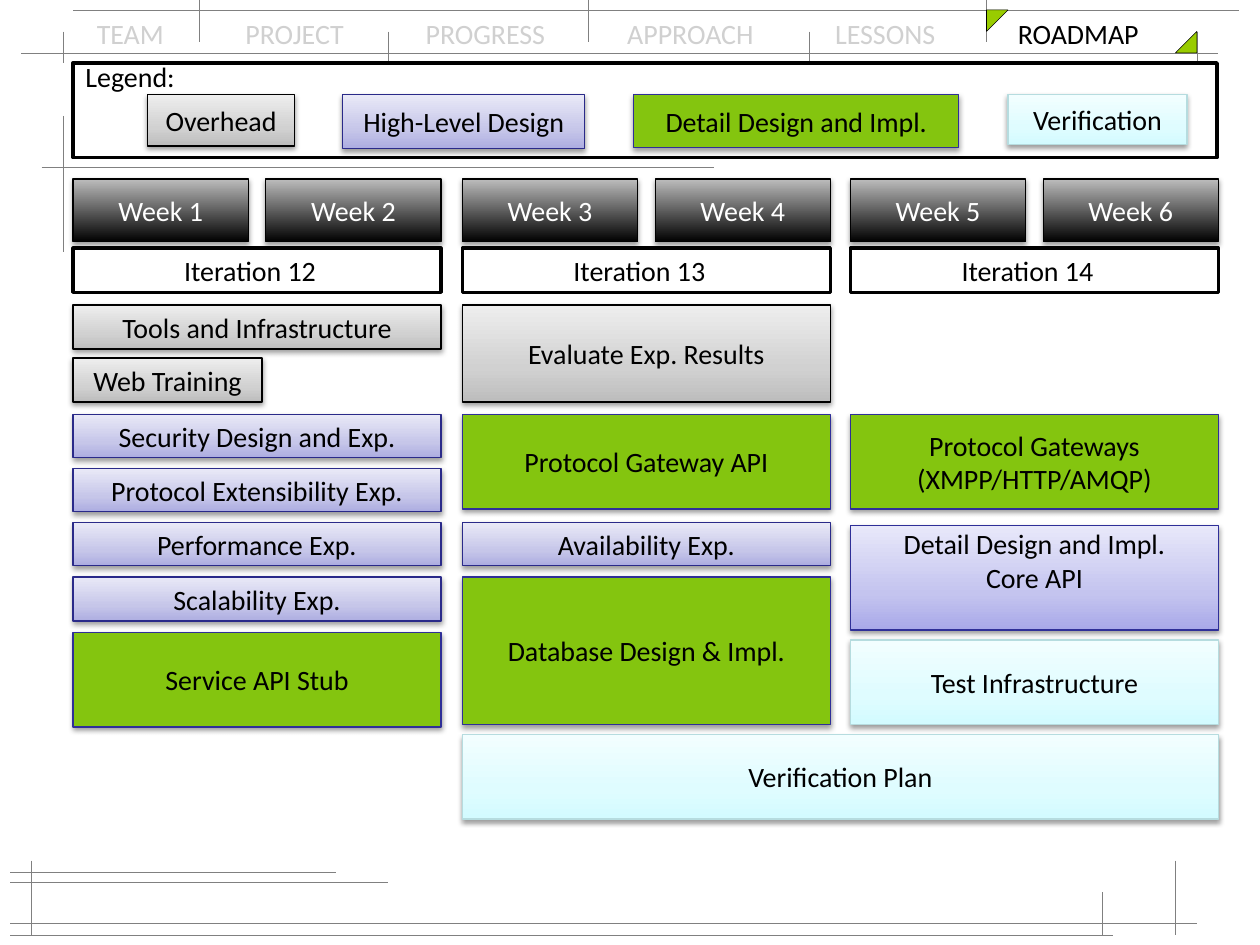
from lxml.etree import SubElement
from pptx import Presentation
from pptx.dml.color import RGBColor
from pptx.enum.shapes import MSO_CONNECTOR, MSO_SHAPE
from pptx.enum.text import MSO_ANCHOR, PP_ALIGN
from pptx.oxml.ns import qn
from pptx.util import Inches, Pt

STYLES = {
    "overhead": ([(0, "BDBDBD"), (35, "D1D1D1"), (100, "EEEEEE")], "000000"),
    "high": ([(0, "ADADE1"), (35, "C6C6E9"), (100, "E9E9F7")], "2A2A89"),
    "core": ([(0, "A9A9E9"), (35, "C4C4EF"), (100, "E8E8FA")], "2F2F98"),
    "detail": ("84C50F", "2F2F98"),
    "verify": ([(0, "D3FBFF"), (35, "DFFCFF"), (100, "F2FEFF")], "B6DCDF"),
    "week": ([(0, "000000"), (100, "BDBDBD")], "000000"),
}
COLUMNS = [0.58, 3.67, 6.75]
COL_W = 2.92
RULES = [
    (0.17, 0.42, 9.67, 0.42), (0.58, 0.08, 9.83, 0.08), (0.5, 0.92, 0.5, 2),
    (0.33, 1.33, 5.67, 1.33), (0.08, 7, 3.08, 7), (0.08, 7.33, 9.5, 7.33),
    (0.25, 6.83, 0.25, 7.42), (0.08, 6.92, 2.67, 6.92), (0.08, 7.42, 8.83, 7.42),
    (9.33, 6.83, 9.33, 7.42), (8.75, 7.08, 8.75, 7.42),
]
LEGEND = [
    (1.17, 1.17, 0.41, "overhead", "Overhead"),
    (2.72, 1.92, 0.43, "high", "High-Level Design"),
    (5.03, 2.58, 0.42, "detail", "Detail Design and Impl."),
    (8, 1.42, 0.4, "verify", "Verification"),
]
TASKS = [
    (0, 2.42, COL_W, 0.35, "overhead", "Tools and Infrastructure"),
    (0, 2.84, 1.5, 0.35, "overhead", "Web Training"),
    (0, 3.29, COL_W, 0.34, "high", "Security Design and Exp."),
    (0, 3.72, COL_W, 0.34, "high", "Protocol Extensibility Exp."),
    (0, 4.15, COL_W, 0.34, "high", "Performance Exp."),
    (0, 4.58, COL_W, 0.35, "high", "Scalability Exp."),
    (0, 5.02, COL_W, 0.75, "detail", "Service API Stub"),
    (1, 2.42, COL_W, 0.77, "overhead", "Evaluate Exp. Results"),
    (1, 3.29, COL_W, 0.75, "detail", "Protocol Gateway API"),
    (1, 4.15, COL_W, 0.34, "high", "Availability Exp."),
    (1, 4.58, COL_W, 1.17, "detail", "Database Design & Impl."),
    (2, 3.29, COL_W, 0.75, "detail", "Protocol Gateways\n(XMPP/HTTP/AMQP)"),
    (2, 5.08, COL_W, 0.67, "verify", "Test Infrastructure"),
    (1, 5.83, 6, 0.67, "verify", "Verification Plan"),
]


def rgb(value):
    """Return the colour for a hex string."""
    return RGBColor.from_string(value)


def add_run(p, text, size=16, color="000000", font="Calibri"):
    """Add a formatted run to a paragraph."""
    r = p.add_run()
    r.text = text
    r.font.size = Pt(size)
    r.font.name = font
    r.font.color.rgb = rgb(color)


class Roadmap:
    """Hold the slide and draw its elements in one style."""

    def __init__(self, prs):
        """Start a blank slide."""
        self.s = prs.slides.add_slide(prs.slide_layouts[6])

    def rule(self, x1, y1, x2, y2):
        """Draw a hairline."""
        c = self.s.shapes.add_connector(
            MSO_CONNECTOR.STRAIGHT, Inches(x1), Inches(y1), Inches(x2), Inches(y2))
        c.line.color.rgb = rgb("808080")
        c.line.width = Pt(0.3)
        SubElement(c._element.spPr, qn("a:effectLst"))

    def shape(self, kind, x, y, w, h, fill, line, width, parent=None):
        """Draw a preset shape with a plain or gradient fill."""
        sp = (parent or self.s).shapes.add_shape(
            kind, Inches(x), Inches(y), Inches(w), Inches(h))
        sp.shadow.inherit = False
        if isinstance(fill, str):
            sp.fill.solid()
            sp.fill.fore_color.rgb = rgb(fill)
        else:
            sp.fill.gradient()
            sp.fill.gradient_angle = 90
            stops = sp._element.spPr.find(".//" + qn("a:gsLst"))
            stops.clear()
            for pos, color in fill:
                gs = SubElement(stops, qn("a:gs"), pos=str(pos * 1000))
                SubElement(gs, qn("a:srgbClr"), val=color)
        sp.line.color.rgb = rgb(line)
        sp.line.width = Pt(width)
        return sp

    def corner(self, x, y, flip):
        """Draw a flipped corner triangle beside the current section."""
        sp = self.shape(MSO_SHAPE.RIGHT_TRIANGLE, x, y, 0.17, 0.17, "99CC00", "000000", 0.3)
        sp._element.spPr.find(qn("a:xfrm")).set(flip, "1")

    def label(self, sp, text, color="000000"):
        """Put centred lines of text in a shape."""
        tf = sp.text_frame
        tf.word_wrap = True
        tf.vertical_anchor = MSO_ANCHOR.MIDDLE
        for i, line in enumerate(text.split("\n")):
            p = tf.add_paragraph() if i else tf.paragraphs[0]
            p.alignment = PP_ALIGN.CENTER
            add_run(p, line, color=color)
        return tf

    def box(self, x, y, w, h, style, text, color="000000", parent=None):
        """Draw a shadowed, labelled box."""
        sp = self.shape(MSO_SHAPE.RECTANGLE, x, y, w, h, *STYLES[style], 0.75, parent)
        shadow = SubElement(
            sp._element.spPr.find(qn("a:effectLst")), qn("a:outerShdw"),
            blurRad=str(Pt(3.1)), dist=str(Pt(1.6)), dir="5400000", rotWithShape="0")
        clr = SubElement(shadow, qn("a:srgbClr"), val="000000")
        SubElement(clr, qn("a:alpha"), val="38000")
        return self.label(sp, text, color)

    def frame(self, x, y, w, h, parent=None):
        """Draw a white box with a heavy outline."""
        return self.shape(MSO_SHAPE.RECTANGLE, x, y, w, h, "FFFFFF", "000000", 2, parent)

    def text(self, x, y, w, h, wrap=True):
        """Add a text box and return its first paragraph."""
        tf = self.s.shapes.add_textbox(Inches(x), Inches(y), Inches(w), Inches(h)).text_frame
        tf.word_wrap = wrap
        return tf.paragraphs[0]

    def navigation(self):
        """Add the section names, set apart by tab stops."""
        p = self.text(0.67, 0.08, 8.67, 0.37)
        tabs = SubElement(p._p.get_or_add_pPr(), qn("a:tabLst"))
        for pos in (1.18, 2.61, 4.21, 5.86, 7.31):
            SubElement(tabs, qn("a:tab"), pos=str(Inches(pos)), algn="l")
        add_run(p, "TEAM\tPROJECT\tPROGRESS\tAPPROACH\tLESSONS\t", color="D0D0D0")
        add_run(p, "ROADMAP")

    def iteration(self, i):
        """Add a group of two weeks over their iteration."""
        x = COLUMNS[i]
        grp = self.s.shapes.add_group_shape()
        for j in range(2):
            self.box(x + j * 1.53, 1.42, 1.39, 0.5, "week",
                     f"Week {2 * i + j + 1}", "FFFFFF", grp)
        tf = self.label(self.frame(x, 1.97, COL_W, 0.35, grp), f"Iteration {12 + i}")
        tf.margin_right = Inches(0.21)


def main():
    """Build the roadmap slide."""
    prs = Presentation()
    prs.slide_width, prs.slide_height = Inches(10), Inches(7.5)
    s = Roadmap(prs)
    s.navigation()
    for ends in RULES:
        s.rule(*ends)
    for x in (0.5, 3.08, 6.42, 9.5):
        s.rule(x, 0.25, x, 0.5)
    for x in (1.58, 4.67, 7.83):
        s.rule(x, 0, x, 0.33)
    s.corner(7.83, 0.08, "flipV")
    s.corner(9.33, 0.25, "flipH")
    s.frame(0.58, 0.5, 9.08, 0.75)
    add_run(s.text(0.58, 0.42, 0.92, 0.37, wrap=False), "Legend:")
    for x, w, h, style, name in LEGEND:
        s.box(x, 0.75, w, h, style, name)
    for i in range(len(COLUMNS)):
        s.iteration(i)
    for col, y, w, h, style, name in TASKS:
        s.box(COLUMNS[col], y, w, h, style, name)
    tf = s.box(COLUMNS[2], 4.17, COL_W, 0.83, "core", "Detail Design and Impl.\nCore API")
    tf.margin_bottom = Inches(0.32)
    prs.save("out.pptx")


if __name__ == "__main__":
    main()
